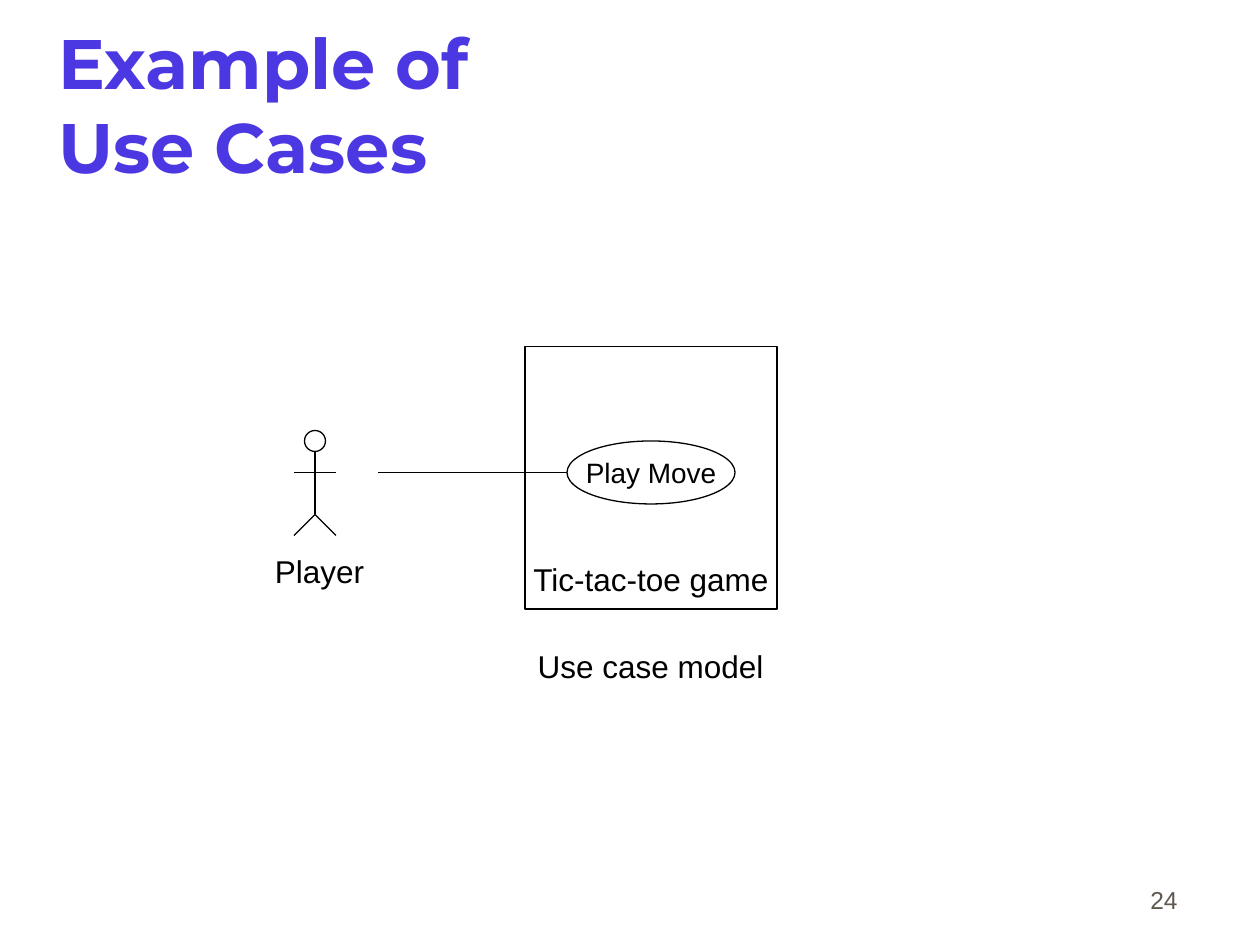
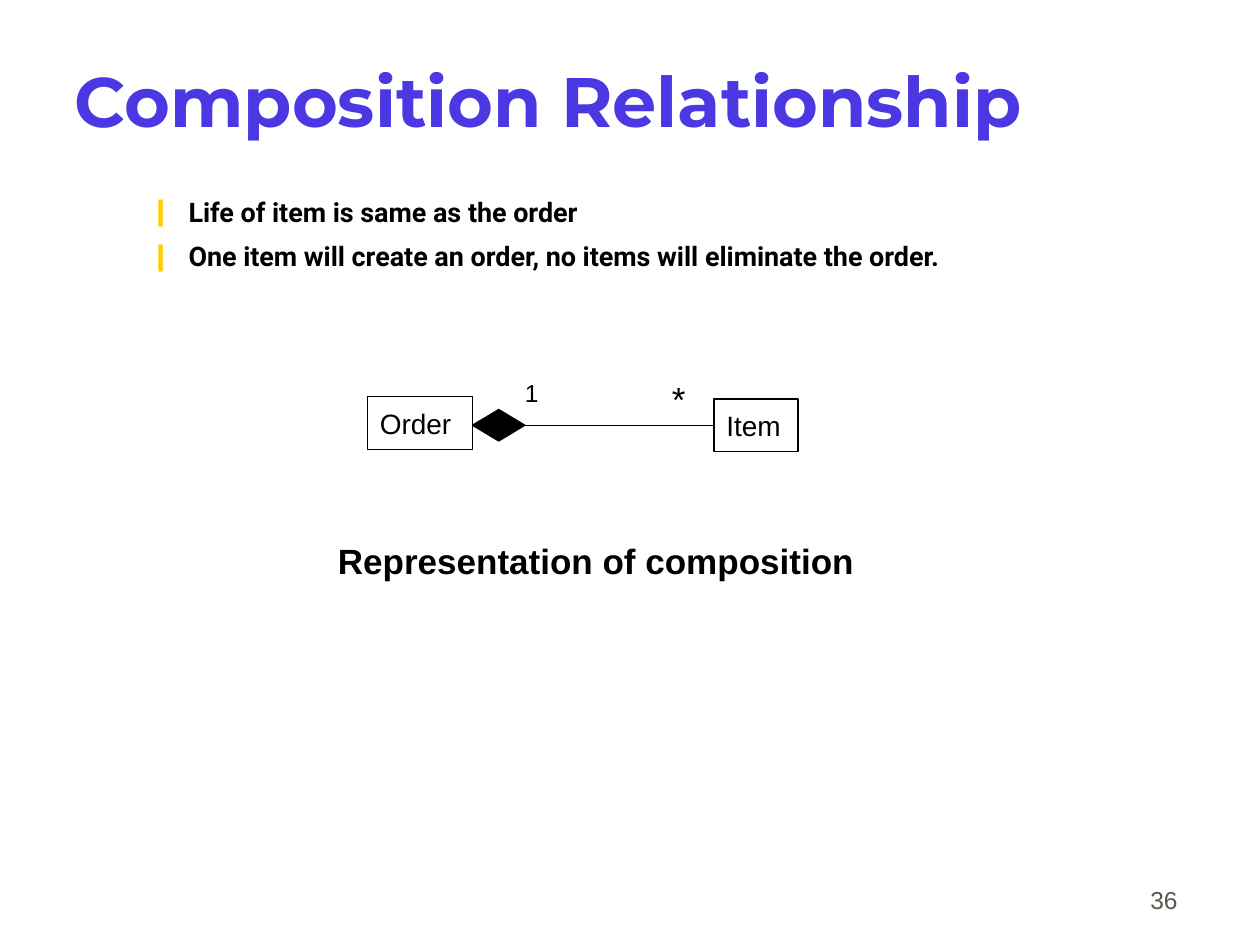
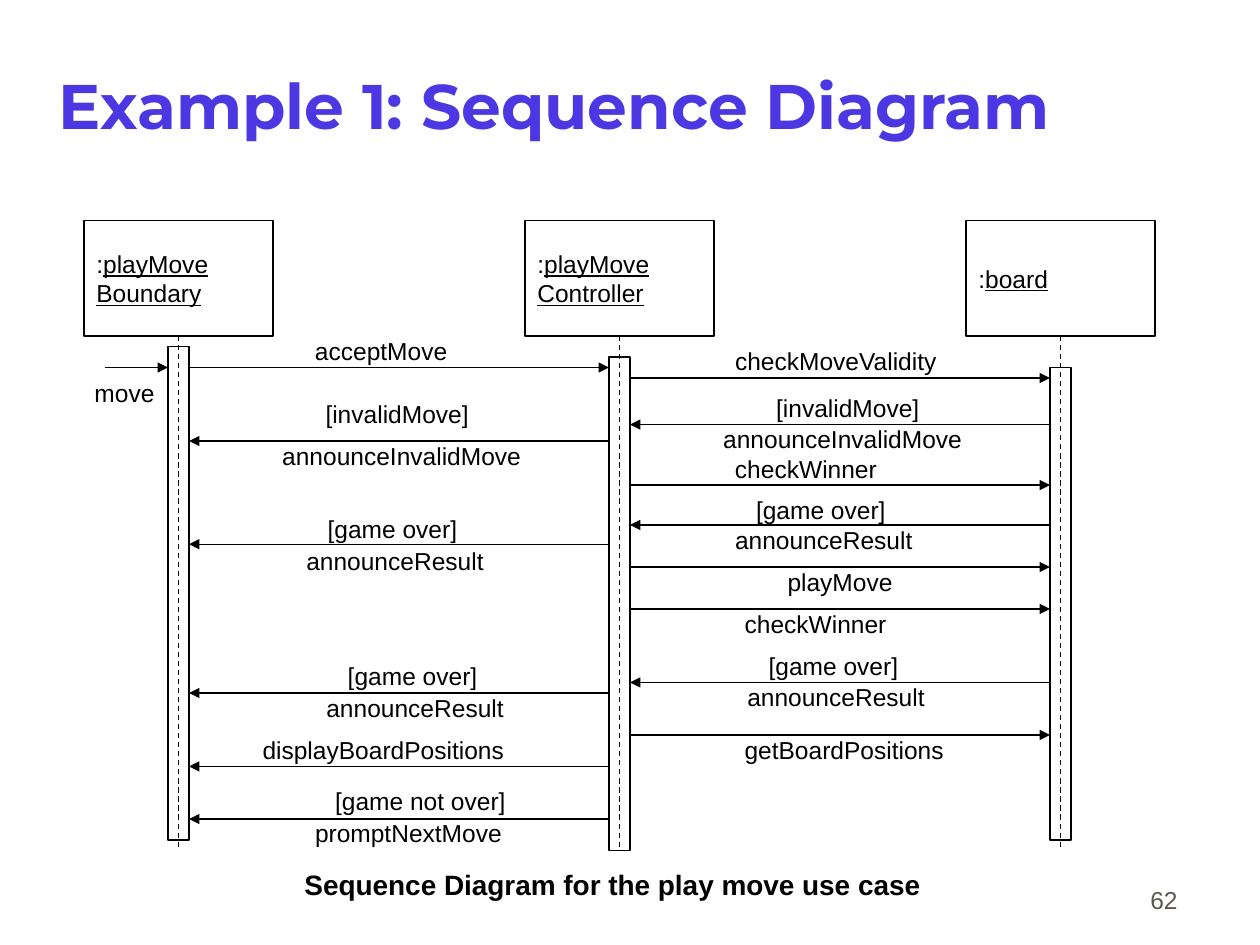
from collections import namedtuple

from lxml.etree import SubElement
from pptx import Presentation
from pptx.dml.color import RGBColor
from pptx.enum.dml import MSO_LINE
from pptx.enum.shapes import MSO_CONNECTOR, MSO_SHAPE
from pptx.enum.text import MSO_ANCHOR, MSO_AUTO_SIZE, PP_ALIGN
from pptx.oxml.ns import qn
from pptx.util import Pt

COLORS = {
    "ink": "000000",
    "title": "4C38E2",
    "page_number": "5E574E",
    "bullet": "FFCC00",
}
LINE_WIDTH = 0.75
BAR_WIDTH = 12
FIRST_LIFELINE, LIFELINE_STEP = 102, 252
LIFELINE_END = 486

Style = namedtuple("Style", "size font color bold", defaults=("Arial", "ink", False))
Message = namedtuple("Message", "sender receiver y labels")

TITLE = Style(40, "Montserrat", "title", True)
SMALL_TITLE = TITLE._replace(size=36)
BULLET = Style(15.4, "Roboto", "ink", True)
PAGE_NUMBER = Style(14, color="page_number")
LABEL = Style(14)
NODE = Style(16)
CAPTION = Style(18)

LABEL_WIDTHS = {
    "move": 36,
    "acceptMove": 78,
    "checkMoveValidity": 118,
    "[invalidMove]": 84,
    "announceInvalidMove": 139,
    "checkWinner": 83,
    "[game over]": 76,
    "announceResult": 104,
    "playMove": 62,
    "getBoardPositions": 116,
    "displayBoardPositions": 140,
    "[game not over]": 100,
    "promptNextMove": 109,
}

PARTICIPANTS = [
    ((":", "playMove"), ("Boundary",), 198, 480),
    ((":", "playMove"), ("Controller",), 204, 486),
    ((":", "board"), (), 210, 480),
]

MESSAGES = [
    Message(0, 1, 210, [("acceptMove", 180, -18)]),
    Message(1, 2, 216, [("checkMoveValidity", 420, -18)]),
    Message(2, 1, 242.6, [("[invalidMove]", 443.5, -18),
                          ("announceInvalidMove", 413.3, 0)]),
    Message(1, 0, 252, [("[invalidMove]", 186, -24),
                        ("announceInvalidMove", 161.3, 0)]),
    Message(1, 2, 277.2, [("checkWinner", 420, -18)]),
    Message(2, 1, 300, [("[game over]", 432, -17), ("announceResult", 420, 0)]),
    Message(1, 0, 311, [("[game over]", 187.2, -17), ("announceResult", 175, 1)]),
    Message(1, 2, 324, [("playMove", 450, 0)]),
    Message(1, 2, 348, [("checkWinner", 425.5, 0)]),
    Message(2, 1, 390, [("[game over]", 439.2, -18), ("announceResult", 427, 0)]),
    Message(1, 0, 396, [("[game over]", 198.7, -18), ("announceResult", 186.5, 0)]),
    Message(1, 2, 420, [("getBoardPositions", 425.5, 0)]),
    Message(1, 0, 438, [("displayBoardPositions", 150, -18)]),
    Message(1, 0, 468, [("[game not over]", 191.5, -18.7), ("promptNextMove", 180, -0.7)]),
]


def rgb(name):
    """Return the named colour."""
    return RGBColor.from_string(COLORS[name])


def add_span(para, text, style, underline=False):
    """Add one styled run to a paragraph."""
    span = para.add_run()
    span.text = text
    span.font.size = Pt(style.size)
    span.font.name = style.font
    span.font.bold = style.bold
    span.font.color.rgb = rgb(style.color)
    if underline:
        span.font.underline = True


def set_frame(shape, anchor, inset=(7.2, 3.6), wrap=False):
    """Set anchor, insets and wrapping, and return the text frame."""
    frame = shape.text_frame
    frame.margin_left = frame.margin_right = Pt(inset[0])
    frame.margin_top = frame.margin_bottom = Pt(inset[1])
    frame.vertical_anchor = anchor
    frame.word_wrap = wrap
    return frame


def add_box(page, bounds, anchor=MSO_ANCHOR.TOP, inset=(7.2, 3.6), wrap=True):
    """Add a text box and return its text frame."""
    box = page.shapes.add_textbox(*map(Pt, bounds))
    return set_frame(box, anchor, inset, wrap)


def add_label(page, text, bounds, style=LABEL, inset=(0, 0)):
    """Add a one-line text that does not wrap."""
    frame = add_box(page, bounds, inset=inset, wrap=False)
    frame.auto_size = MSO_AUTO_SIZE.SHAPE_TO_FIT_TEXT
    add_span(frame.paragraphs[0], text, style)


def add_title(page, lines, bounds, style=TITLE, space_before=13.6):
    """Add the slide title, one line per text."""
    frame = add_box(page, bounds, MSO_ANCHOR.MIDDLE, (1.44, 3.6))
    para = frame.paragraphs[0]
    para.space_before = Pt(space_before)
    for index, line in enumerate(lines):
        if index:
            para.add_line_break()
        add_span(para, line, style)


def add_page_number(page, number):
    """Add the page number at the bottom right."""
    frame = add_box(page, (530, 490.3, 150, 36), MSO_ANCHOR.BOTTOM)
    para = frame.paragraphs[0]
    para.alignment = PP_ALIGN.RIGHT
    para.space_before = Pt(8.8)
    add_span(para, str(number), PAGE_NUMBER)


def add_bullets(page, texts, bounds):
    """Add a list with coloured bar bullets."""
    frame = add_box(page, bounds, inset=(1.44, 3.6))
    for index, text in enumerate(texts):
        para = frame.add_paragraph() if index else frame.paragraphs[0]
        para.space_before = Pt(7.1)
        properties = para._p.get_or_add_pPr()
        properties.set("marL", str(Pt(58.3)))
        properties.set("indent", str(Pt(-22.3)))
        color = SubElement(properties, qn("a:buClr"))
        SubElement(color, qn("a:srgbClr")).set("val", COLORS["bullet"])
        SubElement(properties, qn("a:buFont")).set("typeface", "Arial")
        SubElement(properties, qn("a:buChar")).set("char", "❙")
        add_span(para, text, BULLET)


def add_outline(page, kind, bounds, fill=None):
    """Add a preset shape with a thin dark outline."""
    shape = page.shapes.add_shape(kind, *map(Pt, bounds))
    shape.shadow.inherit = False
    shape.line.color.rgb = rgb("ink")
    shape.line.width = Pt(LINE_WIDTH)
    if fill:
        shape.fill.solid()
        shape.fill.fore_color.rgb = rgb(fill)
    else:
        shape.fill.background()
    return shape


def add_node(page, kind, bounds, text, style=NODE, align=PP_ALIGN.LEFT,
             anchor=MSO_ANCHOR.MIDDLE, inset=(7.2, 3.6)):
    """Add an outlined shape holding one line of text."""
    node = add_outline(page, kind, bounds)
    para = set_frame(node, anchor, inset).paragraphs[0]
    para.alignment = align
    add_span(para, text, style)
    return node


def add_line(page, start, end, arrow=False):
    """Add a straight line, with an arrowhead at its end if asked."""
    line = page.shapes.add_connector(MSO_CONNECTOR.STRAIGHT, *map(Pt, start + end))
    line.line.color.rgb = rgb("ink")
    line.line.width = Pt(LINE_WIDTH)
    if arrow:
        SubElement(line.line._get_or_add_ln(), qn("a:tailEnd")).set("type", "triangle")
    SubElement(line._element.spPr, qn("a:effectLst"))
    return line


def add_actor(page, center, top):
    """Add a stick figure."""
    add_outline(page, MSO_SHAPE.OVAL, (center - 6, top, 12, 12))
    neck, arms, hip, feet = top + 12, top + 24, top + 48, top + 60
    add_line(page, (center, neck), (center, hip))
    add_line(page, (center - 12, arms), (center + 12, arms))
    for side in (-12, 12):
        add_line(page, (center, hip), (center + side, feet))


def lifeline_x(index):
    """Return the centre of a participant's lifeline."""
    return FIRST_LIFELINE + index * LIFELINE_STEP


def add_participant(page, index, first, second, bar_top, bar_bottom):
    """Add a participant's header, lifeline and activation bar."""
    center = lifeline_x(index)
    header = add_outline(page, MSO_SHAPE.RECTANGLE, (center - 54, 126, 108, 66))
    frame = set_frame(header, MSO_ANCHOR.MIDDLE)
    para = frame.paragraphs[0]
    para.alignment = PP_ALIGN.LEFT
    add_span(para, first[0], LABEL)
    add_span(para, first[1], LABEL, underline=True)
    for text in second:
        para = frame.add_paragraph()
        para.alignment = PP_ALIGN.LEFT
        add_span(para, text, LABEL, underline=True)
    lifeline = add_line(page, (center, 192), (center, LIFELINE_END))
    lifeline.line.dash_style = MSO_LINE.DASH
    lifeline.begin_connect(header, 2)
    add_outline(page, MSO_SHAPE.RECTANGLE,
                (center - BAR_WIDTH / 2, bar_top, BAR_WIDTH, bar_bottom - bar_top))


def add_message_label(page, text, left, top):
    """Add the text of a message."""
    add_label(page, text, (left, top, LABEL_WIDTHS[text], 16.6))


def add_message(page, message):
    """Add an arrow between two activation bars, with its texts."""
    reach = BAR_WIDTH / 2 if message.receiver > message.sender else -BAR_WIDTH / 2
    start = lifeline_x(message.sender) + reach
    end = lifeline_x(message.receiver) - reach
    add_line(page, (start, message.y), (end, message.y), arrow=True)
    for text, left, offset in message.labels:
        add_message_label(page, text, left, message.y + offset)


def build_use_case(page):
    """Build the use case slide."""
    add_page_number(page, 24)
    add_title(page, ["Example of", "Use Cases"], (32, 14.4, 612, 90))
    add_label(page, "Use case model", (300.2, 366, 145, 28.8), CAPTION, (7.2, 3.6))
    add_node(page, MSO_SHAPE.RECTANGLE, (300, 198, 144, 150), "Tic-tac-toe game",
             CAPTION, PP_ALIGN.CENTER, MSO_ANCHOR.BOTTOM, (7.2, 6.6))
    add_node(page, MSO_SHAPE.OVAL, (324, 252, 96, 36), "Play Move",
             align=PP_ALIGN.CENTER)
    add_actor(page, 180, 246)
    add_line(page, (216, 270), (324, 270))
    add_label(page, "Player", (150, 312, 67, 28.8), CAPTION, (7.2, 3.6))


def build_composition(page):
    """Build the composition slide."""
    add_page_number(page, 36)
    add_title(page, [" Composition Relationship"], (30, 12, 612, 90))
    add_bullets(page, [
        "Life of item is same as the order",
        "One item will create an order, no items will eliminate the order.",
    ], (48, 108, 612, 60))
    add_node(page, MSO_SHAPE.RECTANGLE, (210, 226.8, 60, 30), "Order")
    item = add_node(page, MSO_SHAPE.RECTANGLE, (408, 228, 48, 30), "Item")
    diamond = add_outline(page, MSO_SHAPE.FLOWCHART_DECISION, (270, 234, 30, 18), "ink")
    link = add_line(page, (300, 243), (408, 243))
    link.begin_connect(diamond, 3)
    link.end_connect(item, 1)
    add_label(page, "1", (300, 216, 9, 16.6))
    add_label(page, "*", (384, 216, 9, 23.8), Style(20))
    add_label(page, "Representation of composition", (186, 304.6, 312, 31.7),
              Style(20, bold=True), (7.2, 3.6))


def build_sequence(page):
    """Build the sequence diagram slide."""
    add_page_number(page, 62)
    add_title(page, ["Example 1: Sequence Diagram"], (32, 13, 612, 92.9),
              SMALL_TITLE, 8.1)
    for index, participant in enumerate(PARTICIPANTS):
        add_participant(page, index, *participant)
    add_line(page, (60, 210), (FIRST_LIFELINE - BAR_WIDTH / 2, 210), arrow=True)
    add_message_label(page, "move", 54, 216)
    for message in MESSAGES:
        add_message(page, message)
    add_label(page, "Sequence Diagram for the play move use case",
              (174, 496, 356, 19.4), Style(16, bold=True))


def main():
    """Build the deck and save it."""
    deck = Presentation()
    deck.slide_width, deck.slide_height = Pt(720), Pt(540)
    for build in (build_use_case, build_composition, build_sequence):
        build(deck.slides.add_slide(deck.slide_layouts[6]))
    deck.save("out.pptx")


if __name__ == "__main__":
    main()
